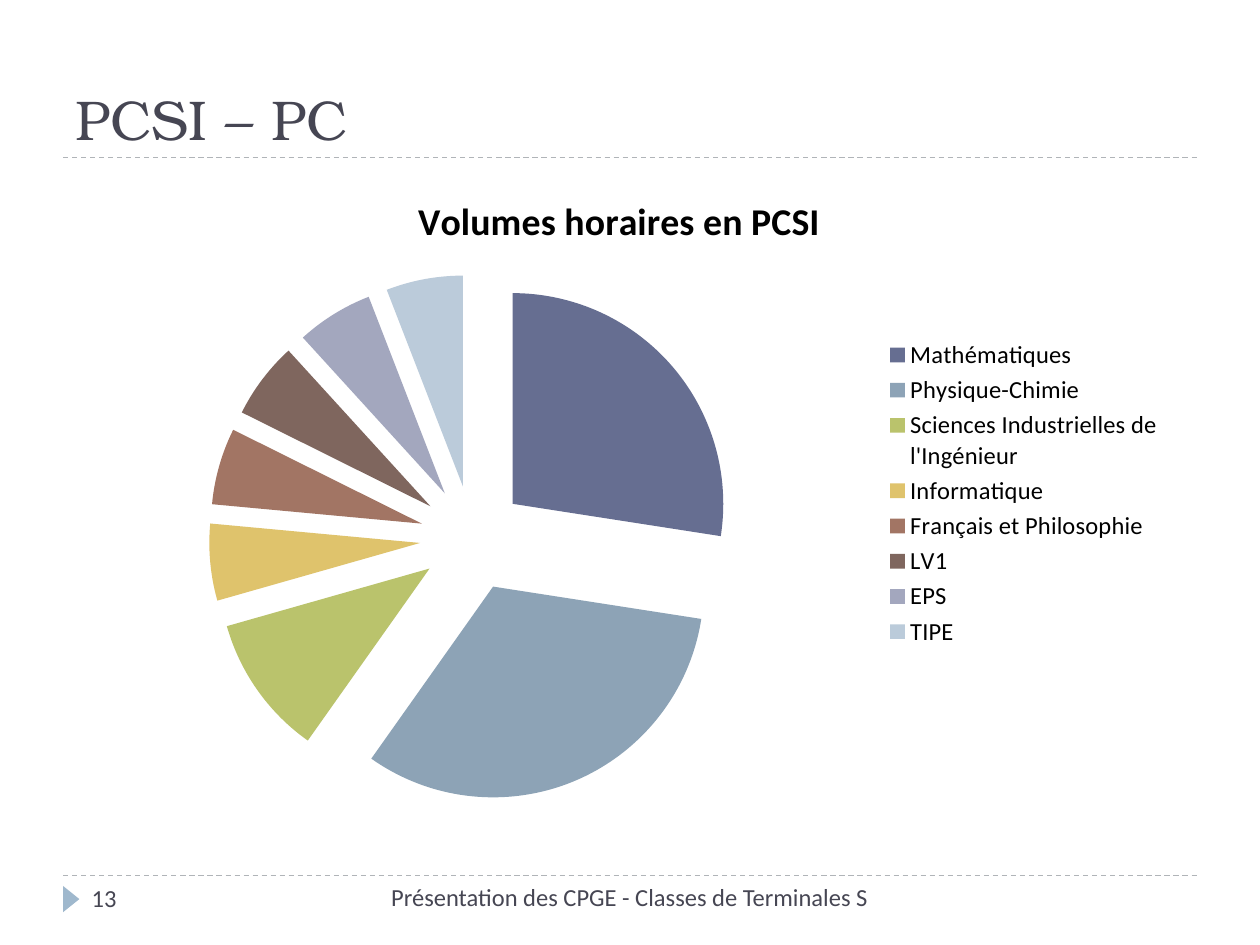
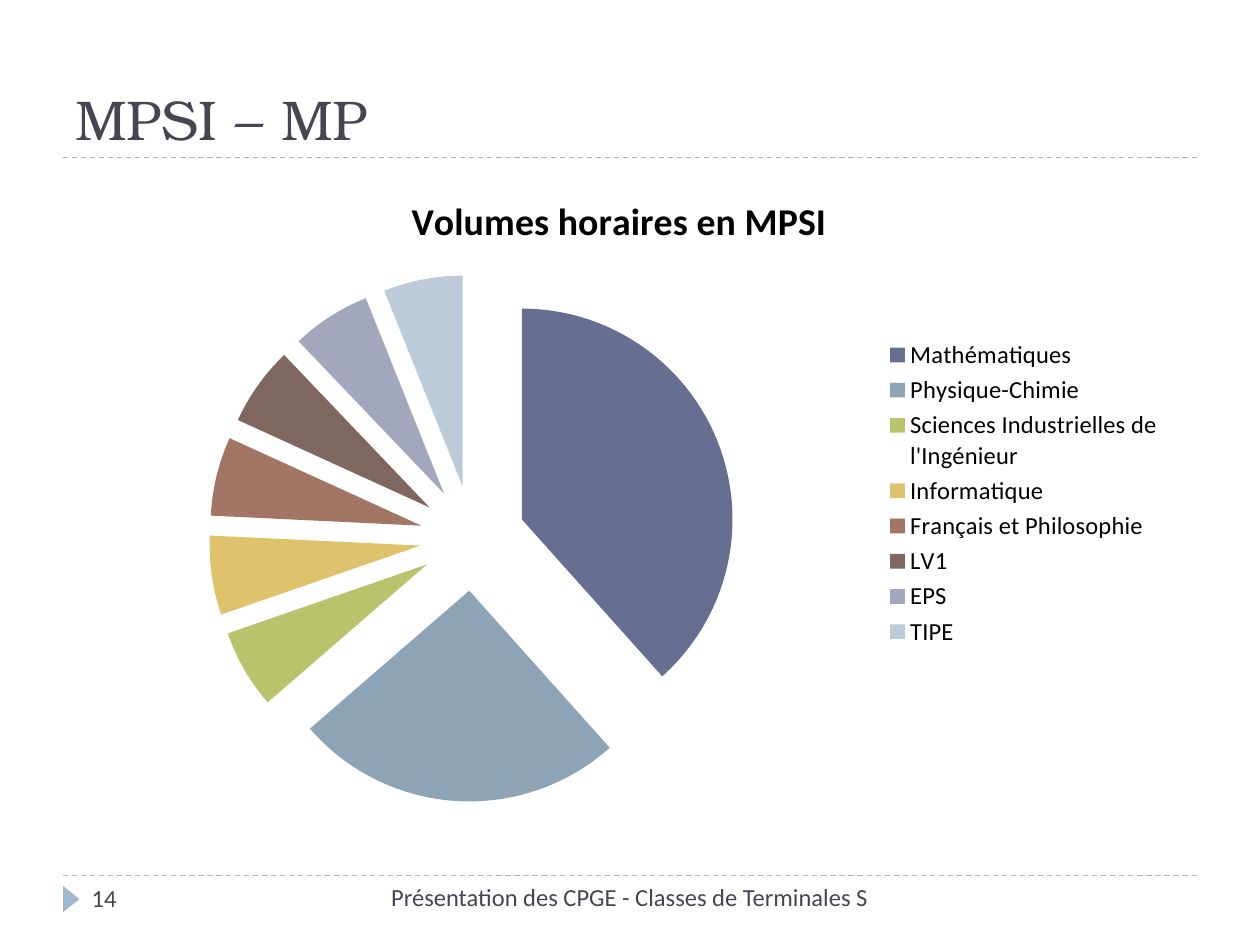
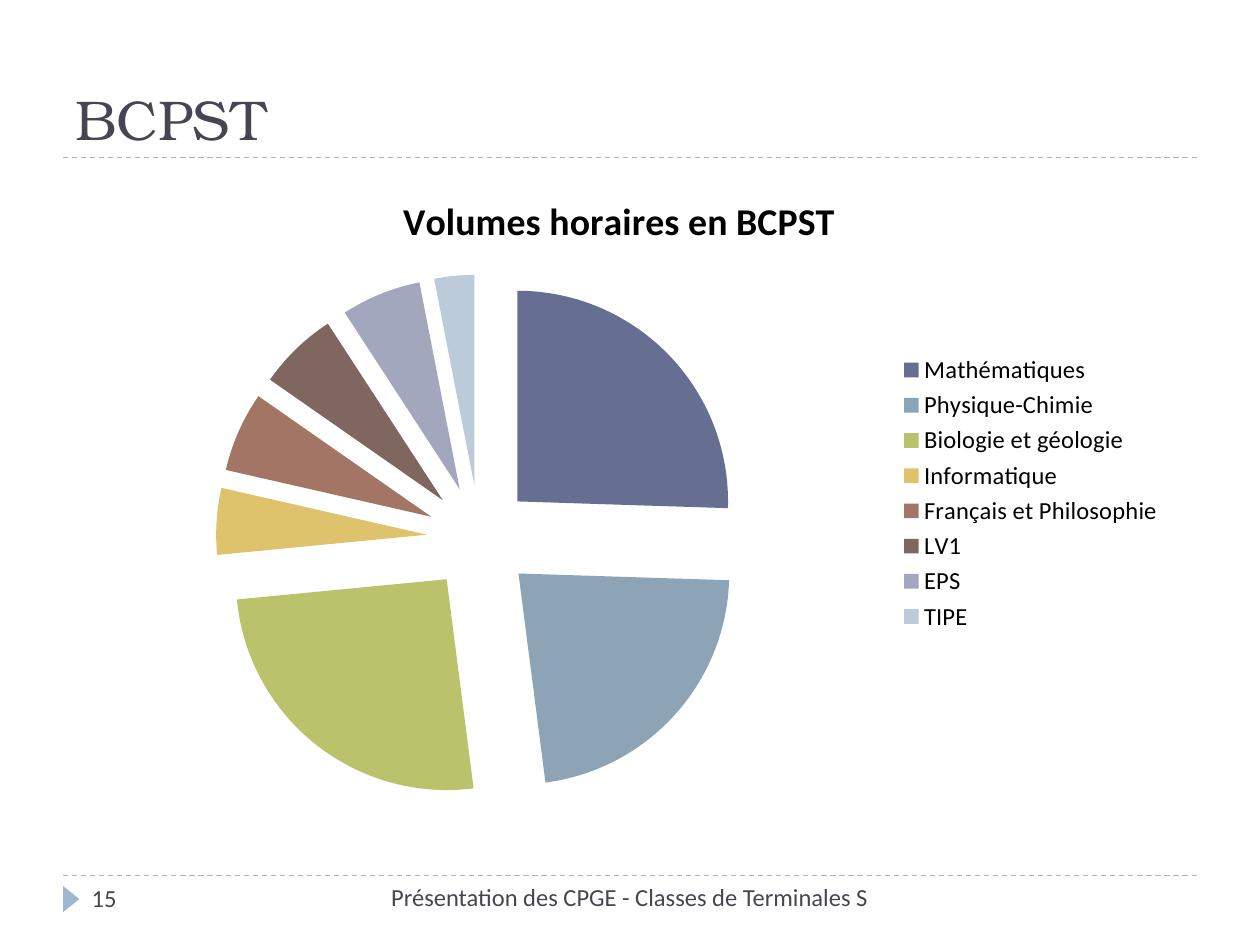
from dataclasses import dataclass

from lxml import etree
from pptx import Presentation
from pptx import util as u
from pptx.chart import data as chart_data
from pptx.dml import color
from pptx.enum import chart as charts
from pptx.enum import dml, shapes, text
from pptx.oxml import ns


@dataclass(frozen=True)
class Theme:
    ink: str = "464653"
    accent: str = "9FB8CD"
    rule: str = "B0B4B8"
    black: str = "000000"
    slices: tuple = ("666E91", "8DA3B6", "BAC36C", "DFC36C",
                     "A27564", "7F665E", "A3A7BE", "BBCBDA")
    heading_font: str = "TeX Gyre Bonum"
    body_font: str = "Calibri"
    title_size: float = 32
    chart_title_size: float = 21.6
    chart_size: float = 18
    small_size: float = 14


theme = Theme()
FOOTER = "Présentation des CPGE - Classes de Terminales S"
FIRST_NUMBER = 13
EXPLOSION = 25
ENGINEERING = "Sciences Industrielles de l'Ingénieur"
BIOLOGY = "Biologie et géologie"

tracks = [
    ("PCSI – PC", "PCSI", ENGINEERING, (28, 33, 11, 6, 6, 6, 6, 6)),
    ("MPSI – MP", "MPSI", ENGINEERING, (38, 25, 6, 6, 6, 6, 6, 6)),
    ("BCPST", "BCPST", BIOLOGY, (25, 22, 25, 5, 6, 6, 6, 3)),
]


def style_font(font, name, size, rgb, bold=False):
    font.name = name
    font.size = u.Pt(size)
    font.bold = bold
    font.color.rgb = color.RGBColor.from_string(rgb)


def add_text(page, words, frame, name, size, anchor, align):
    box = page.shapes.add_textbox(*[u.Cm(length) for length in frame])
    box.text_frame.word_wrap = True
    box.text_frame.vertical_anchor = anchor
    box.text_frame.text = words
    para = box.text_frame.paragraphs[0]
    para.alignment = align
    style_font(para.runs[0].font, name, size, theme.ink)


deck = Presentation()
deck.slide_width = u.Cm(25.4)
deck.slide_height = u.Cm(19.05)

for number, (title, year, science, hours) in enumerate(tracks, FIRST_NUMBER):
    page = deck.slides.add_slide(deck.slide_layouts[6])

    for height in (17.65, 3.18):
        rule = page.shapes.add_connector(
            shapes.MSO_CONNECTOR.STRAIGHT,
            u.Cm(1.27), u.Cm(height), u.Cm(24.13), u.Cm(height))
        rule.line.color.rgb = color.RGBColor.from_string(theme.rule)
        rule.line.width = u.Pt(0.75)
        rule.line.dash_style = dml.MSO_LINE.DASH
        etree.SubElement(rule._element.spPr, ns.qn("a:effectLst"))

    marker = page.shapes.add_shape(
        shapes.MSO_SHAPE.ISOSCELES_TRIANGLE,
        u.Cm(1.17), u.Cm(17.96), u.Cm(0.53), u.Cm(0.33))
    marker.rotation = 90
    marker.shadow.inherit = False
    marker.fill.solid()
    marker.fill.fore_color.rgb = color.RGBColor.from_string(theme.accent)
    marker.line.fill.background()

    add_text(page, title, (1.27, 0.43, 22.86, 2.75), theme.heading_font,
             theme.title_size, text.MSO_ANCHOR.BOTTOM, text.PP_ALIGN.LEFT)

    volumes = chart_data.CategoryChartData()
    volumes.categories = ["Mathématiques", "Physique-Chimie", science,
                          "Informatique", "Français et Philosophie",
                          "LV1", "EPS", "TIPE"]
    volumes.add_series("Series 1", hours)
    pie = page.shapes.add_chart(
        charts.XL_CHART_TYPE.PIE,
        u.Cm(1.27), u.Cm(3.38), u.Cm(22.43), u.Cm(13.13), volumes).chart
    style_font(pie.font, theme.body_font, theme.chart_size, theme.black)

    pie.has_title = True
    pie.chart_title.include_in_layout = False
    pie.chart_title.text_frame.text = f"Volumes horaires en {year}"
    span = pie.chart_title.text_frame.paragraphs[0].runs[0]
    style_font(span.font, theme.body_font, theme.chart_title_size, theme.black, True)

    pie.has_legend = True
    pie.legend.position = charts.XL_LEGEND_POSITION.RIGHT
    pie.legend.include_in_layout = False
    style_font(pie.legend.font, theme.body_font, theme.small_size, theme.black)

    pie.plots[0].vary_by_categories = True
    series = pie.plots[0].series[0]
    for index, rgb in enumerate(theme.slices):
        fill = series.points[index].format.fill
        fill.solid()
        fill.fore_color.rgb = color.RGBColor.from_string(rgb)
    explosion = etree.Element(ns.qn("c:explosion"), val=str(EXPLOSION))
    series._element.find(ns.qn("c:dPt")).addprevious(explosion)

    add_text(page, FOOTER, (6.7, 17.65, 11.99, 1.02), theme.body_font,
             theme.small_size, text.MSO_ANCHOR.TOP, text.PP_ALIGN.CENTER)
    add_text(page, str(number), (1.6, 17.68, 5.51, 1.02), theme.body_font,
             theme.small_size, text.MSO_ANCHOR.TOP, text.PP_ALIGN.LEFT)

deck.save("out.pptx")
